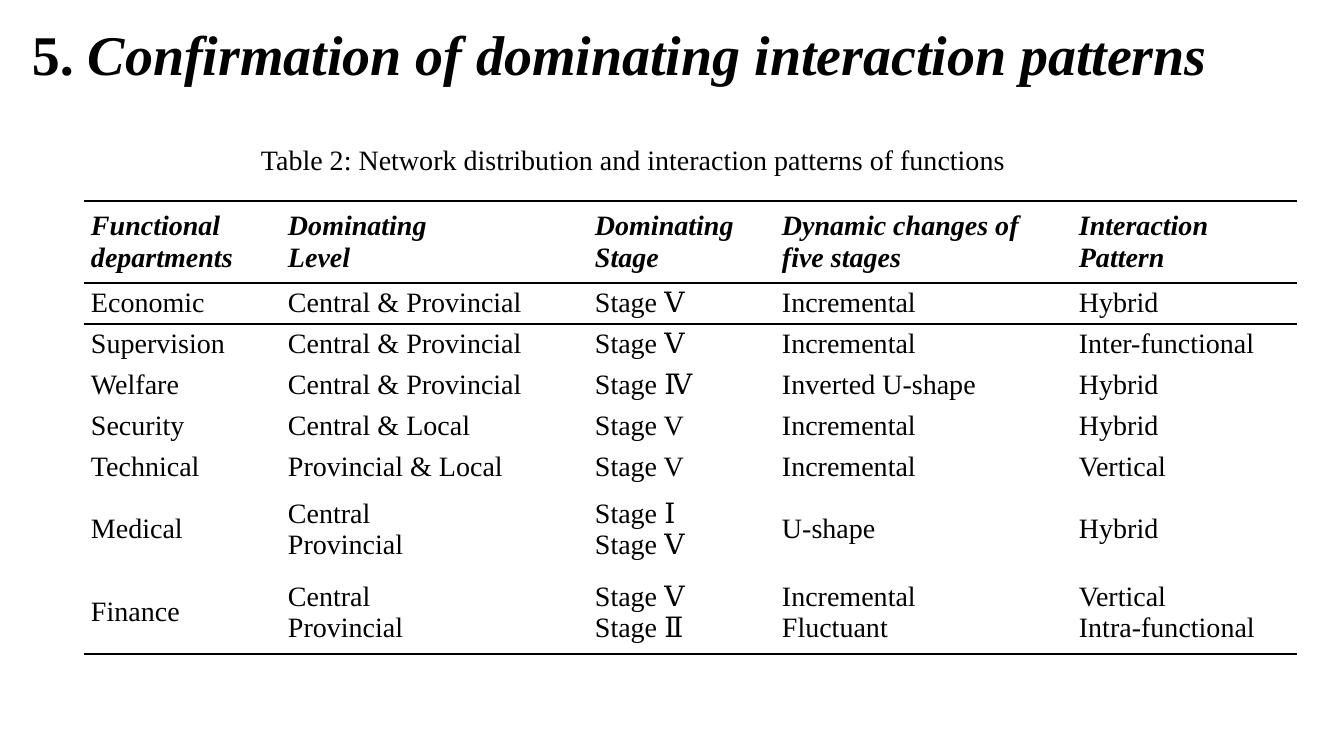
"""Build a slide with a titled table of network functions and interaction patterns."""
from typing import NamedTuple

from lxml import etree
from pptx import Presentation
from pptx.dml.color import RGBColor
from pptx.enum.text import MSO_ANCHOR, PP_ALIGN
from pptx.oxml.ns import qn
from pptx.util import Emu, Pt

MIDDLE, BOTTOM = MSO_ANCHOR.MIDDLE, MSO_ANCHOR.BOTTOM
JUSTIFY = PP_ALIGN.JUSTIFY
EMU_PER_PX = 914400 / 100.8
FONT = "Times New Roman"
BLACK = "000000"
BLANK_LAYOUT = 6
NO_STYLE = "{2D5ABB26-0587-4C30-8999-92F81FD0307C}"
BORDER_WIDTH = Pt(1)
CELL_MARGIN = 7
COLUMN_WIDTHS = (197, 307, 187, 297, 225)


class Box(NamedTuple):
    """Place and size in px."""
    left: int
    top: int
    width: int
    height: int


class Row(NamedTuple):
    """One table row: height in px, cell texts and ruled sides."""
    height: int
    cells: tuple[str, ...]
    borders: tuple[str, ...] = ()


TITLE_BOX = Box(22, 29, 1295, 64)
CAPTION_BOX = Box(251, 138, 924, 44)
TABLE_BOX = Box(84, 201, 1213, 453)

ROWS = (
    Row(82, ("Functional\ndepartments", "Dominating\nLevel", "Dominating\nStage",
             "Dynamic changes of\nfive stages", "Interaction\nPattern"), ("a:lnT", "a:lnB")),
    Row(41, ("Economic", "Central & Provincial", "Stage Ⅴ", "Incremental", "Hybrid"), ("a:lnT",)),
    Row(41, ("Supervision", "Central & Provincial", "Stage Ⅴ", "Incremental", "Inter-functional")),
    Row(41, ("Welfare", "Central & Provincial", "Stage Ⅳ", "Inverted U-shape", "Hybrid")),
    Row(41, ("Security", "Central & Local", "Stage V", "Incremental", "Hybrid")),
    Row(41, ("Technical", "Provincial & Local", "Stage V", "Incremental", "Vertical")),
    Row(83, ("Medical", "Central\nProvincial", "Stage Ⅰ\nStage Ⅴ", "U-shape", "Hybrid")),
    Row(83, ("Finance", "Central\nProvincial", "Stage Ⅴ\nStage Ⅱ", "Incremental\nFluctuant",
             "Vertical\nIntra-functional"), ("a:lnB",)),
)


def px(length: int) -> Emu:
    """Turn px into EMU."""
    return Emu(round(length * EMU_PER_PX))


def color(value: str) -> RGBColor:
    """Turn a hex string into a colour."""
    return RGBColor.from_string(value)


def set_font(font, size: int, bold: bool = False) -> None:
    """Apply the slide's typeface and colour."""
    font.name, font.size, font.bold = FONT, Pt(size), bold
    font.color.rgb = color(BLACK)


def add_text_box(slide, box: Box):
    """Add a wrapping text box and return its text frame."""
    text_frame = slide.shapes.add_textbox(*map(px, box)).text_frame
    text_frame.word_wrap = True
    return text_frame


def add_title(slide) -> None:
    """Add the heading with its number upright and its words italic."""
    text_frame = add_text_box(slide, TITLE_BOX)
    text_frame.vertical_anchor = BOTTOM
    paragraph = text_frame.paragraphs[0]
    paragraph.line_spacing = 0.9
    set_font(paragraph.font, 40, bold=True)
    paragraph.add_run().text = "5. "
    words = paragraph.add_run()
    words.text = "Confirmation of dominating interaction patterns"
    words.font.italic = True


def add_caption(slide) -> None:
    """Add the table caption."""
    paragraph = add_text_box(slide, CAPTION_BOX).paragraphs[0]
    paragraph.text = "Table 2: Network distribution and interaction patterns of functions"
    paragraph.space_before = Pt(12)
    set_font(paragraph.font, 20)


def add_border(cell, side: str) -> None:
    """Rule one side of a cell."""
    line = etree.SubElement(cell._tc.get_or_add_tcPr(), qn(side), w=str(BORDER_WIDTH))
    fill = etree.SubElement(line, qn("a:solidFill"))
    etree.SubElement(fill, qn("a:srgbClr"), val=BLACK)


def fill_cell(cell, text: str, borders: tuple[str, ...], header: bool) -> None:
    """Write and format one table cell."""
    cell.text = text
    cell.vertical_anchor = MIDDLE
    cell.margin_left = cell.margin_right = px(CELL_MARGIN)
    cell.margin_top = cell.margin_bottom = 0
    for side in borders:
        add_border(cell, side)
    cell.fill.background()
    for paragraph in cell.text_frame.paragraphs:
        paragraph.alignment = JUSTIFY
        set_font(paragraph.font, 20, bold=header)
        paragraph.font.italic = header


def add_function_table(slide) -> None:
    """Add the table of functional departments."""
    frame = slide.shapes.add_table(len(ROWS), len(COLUMN_WIDTHS), *map(px, TABLE_BOX))
    table = frame.table
    table.horz_banding = False
    table._tbl.tblPr.find(qn("a:tableStyleId")).text = NO_STYLE
    for column, width in zip(table.columns, COLUMN_WIDTHS):
        column.width = px(width)
    for index, (table_row, row) in enumerate(zip(table.rows, ROWS)):
        table_row.height = px(row.height)
        for cell, text in zip(table_row.cells, row.cells):
            fill_cell(cell, text, row.borders, header=index == 0)


def main() -> None:
    """Build and save the presentation."""
    presentation = Presentation()
    presentation.slide_width, presentation.slide_height = px(1344), px(756)
    slide = presentation.slides.add_slide(presentation.slide_layouts[BLANK_LAYOUT])
    add_title(slide)
    add_caption(slide)
    add_function_table(slide)
    presentation.save("out.pptx")


if __name__ == "__main__":
    main()
